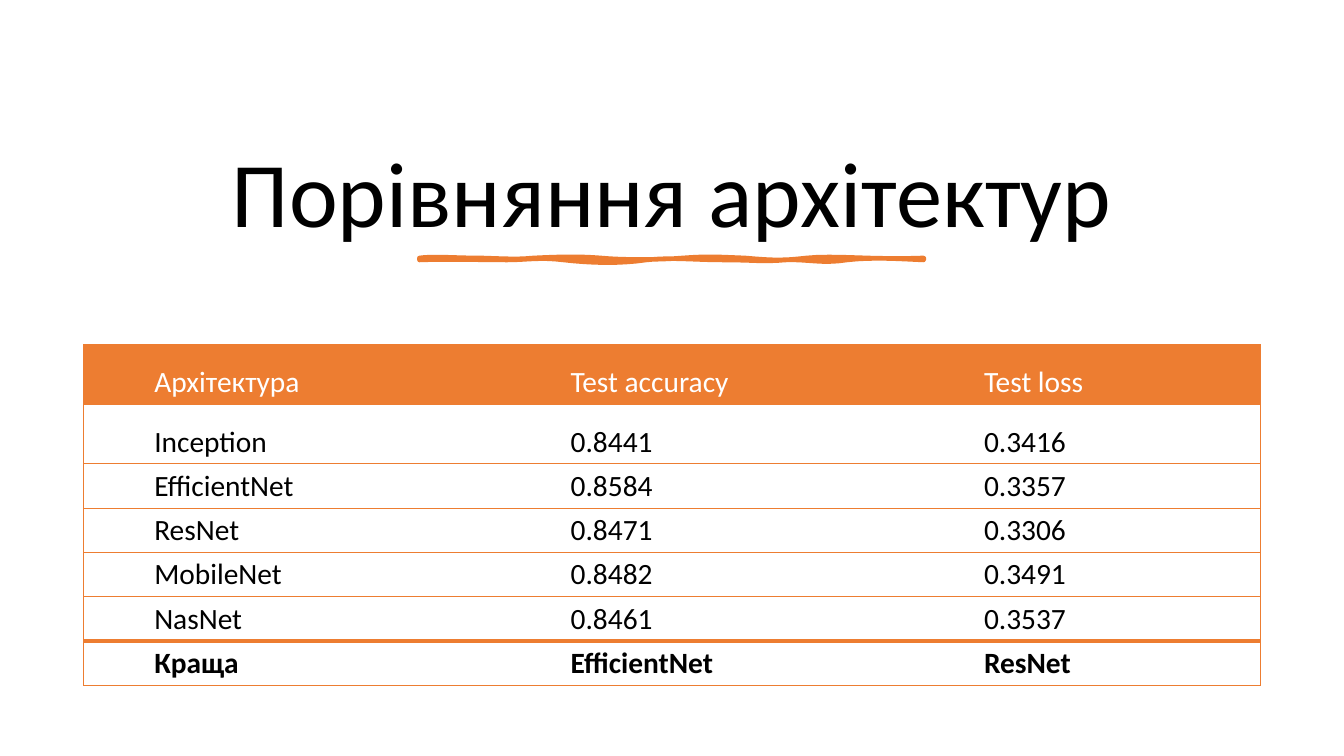
import pptx
import pptx.dml.color
import pptx.enum.text
import pptx.oxml.ns
import pptx.util
from lxml import etree

Inches = pptx.util.Inches
Pt = pptx.util.Pt
qn = pptx.oxml.ns.qn
ALIGN = pptx.enum.text.PP_ALIGN

ROWS = [
    ("Архітектура", "Test accuracy", "Test loss"),
    ("Inception", "0.8441", "0.3416"),
    ("EfficientNet", "0.8584", "0.3357"),
    ("ResNet", "0.8471", "0.3306"),
    ("MobileNet", "0.8482", "0.3491"),
    ("NasNet", "0.8461", "0.3537"),
    ("Краща", "EfficientNet", "ResNet"),
]
COLUMN_WIDTHS = [4.13, 4.1, 3.44]
TALL_ROWS = 2

UNDERLINE_START = (4.16, 2.56)
UNDERLINE_CURVES = [
    (4.28, 2.54, 4.54, 2.56, 4.73, 2.56),
    (4.92, 2.56, 5.09, 2.58, 5.29, 2.56),
    (5.49, 2.55, 5.74, 2.54, 5.96, 2.56),
    (6.17, 2.58, 6.53, 2.58, 6.77, 2.56),
    (7.02, 2.54, 7.14, 2.55, 7.39, 2.56),
    (7.63, 2.58, 7.74, 2.59, 8, 2.56),
    (8.26, 2.53, 8.67, 2.58, 9.16, 2.56),
    (9.17, 2.57, 9.16, 2.57, 9.16, 2.58),
    (8.95, 2.57, 8.65, 2.55, 8.4, 2.58),
    (8.15, 2.62, 8.01, 2.57, 7.79, 2.58),
    (7.56, 2.6, 7.47, 2.58, 7.17, 2.58),
    (6.87, 2.58, 6.67, 2.55, 6.41, 2.58),
    (6.14, 2.62, 5.85, 2.61, 5.59, 2.58),
    (5.34, 2.55, 5.23, 2.58, 5.03, 2.58),
    (4.83, 2.58, 4.38, 2.57, 4.16, 2.58),
]


def color(value):
    return pptx.dml.color.RGBColor.from_string(value)


def curve_points(start, curves, steps=8):
    points = []
    for x1, y1, x2, y2, x3, y3 in curves:
        controls = [start, (x1, y1), (x2, y2), (x3, y3)]
        for step in range(1, steps + 1):
            t = step / steps
            weights = [(1 - t) ** 3, 3 * t * (1 - t) ** 2, 3 * t * t * (1 - t), t ** 3]
            points.append(tuple(
                sum(weight * control[axis] for weight, control in zip(weights, controls))
                for axis in (0, 1)))
        start = (x3, y3)
    return points


class Slide:
    font = "Calibri"
    accent = "ED7D31"
    dark = "000000"
    light = "FFFFFF"

    def __init__(self, deck):
        self.page = deck.slides.add_slide(deck.slide_layouts[6])

    def style(self, para, size, text_color, align, spacing, bold=False):
        para.alignment = align
        para.line_spacing = spacing
        para.font.name = self.font
        para.font.size = Pt(size)
        para.font.bold = bold
        para.font.color.rgb = color(text_color)

    def title(self, text, left, top, width, height):
        box = self.page.shapes.add_textbox(
            Inches(left), Inches(top), Inches(width), Inches(height))
        frame = box.text_frame
        frame.word_wrap = True
        frame.vertical_anchor = pptx.enum.text.MSO_ANCHOR.BOTTOM
        frame.text = text
        self.style(frame.paragraphs[0], 66, self.dark, ALIGN.CENTER, 0.9)

    def brush_line(self, start, curves):
        builder = self.page.shapes.build_freeform(
            Inches(start[0]), Inches(start[1]), scale=1.0)
        builder.add_line_segments(
            [(Inches(x), Inches(y)) for x, y in curve_points(start, curves)], close=True)
        shape = builder.convert_to_shape()
        shape.shadow.inherit = False
        shape.fill.solid()
        shape.fill.fore_color.rgb = color(self.accent)
        shape.line.color.rgb = color(self.accent)
        shape.line.width = Pt(3.25)
        outline = shape.element.spPr.find(qn("a:ln"))
        etree.SubElement(outline, qn("a:round"))

    def border(self, cell, side, width):
        line = etree.SubElement(
            cell._tc.get_or_add_tcPr(), qn(f"a:ln{side}"), w=str(Pt(width)))
        if width:
            fill = etree.SubElement(line, qn("a:solidFill"))
            etree.SubElement(fill, qn("a:srgbClr"), val=self.accent)
        else:
            etree.SubElement(line, qn("a:noFill"))

    def cell(self, cell, text, header, tall, bold):
        cell.margin_left = cell.margin_right = Inches(0.11)
        cell.margin_top = Inches(0.02)
        cell.margin_bottom = 0
        cell.text = text
        para = cell.text_frame.paragraphs[0]
        para.space_after = Pt(8)
        para._p.get_or_add_pPr().set("indent", str(Inches(0.59)))
        self.style(para, 21, self.light if header else self.dark,
                   ALIGN.JUSTIFY, 1.5 if tall else 1.07, bold)
        if header:
            cell.fill.solid()
            cell.fill.fore_color.rgb = color(self.accent)
        else:
            cell.fill.background()

    def table(self, rows, widths, left, top):
        heights = [0.59 if index < TALL_ROWS else 0.44 for index in range(len(rows))]
        table = self.page.shapes.add_table(
            len(rows), len(widths), Inches(left), Inches(top),
            Inches(sum(widths)), Inches(sum(heights))).table
        table.first_row = False
        table.horz_banding = False
        for column, width in zip(table.columns, widths):
            column.width = Inches(width)
        last_row, last_column = len(rows) - 1, len(widths) - 1
        for r, (row, height) in enumerate(zip(rows, heights)):
            table.rows[r].height = Inches(height)
            for c, text in enumerate(row):
                cell = table.cell(r, c)
                self.border(cell, "L", 0.5 if c == 0 else 0)
                self.border(cell, "R", 0.5 if c == last_column else 0)
                self.border(cell, "T", 4 if r == last_row else 0.5)
                self.border(cell, "B", 4 if r == last_row - 1 else 0.5)
                self.cell(cell, text, r == 0, r < TALL_ROWS, r == last_row)


def main():
    deck = pptx.Presentation()
    deck.slide_width = Inches(13.33)
    deck.slide_height = Inches(7.5)
    slide = Slide(deck)
    slide.title("Порівняння архітектур", 0.7, 0.5, 11.93, 2)
    slide.brush_line(UNDERLINE_START, UNDERLINE_CURVES)
    slide.table(ROWS, COLUMN_WIDTHS, 0.83, 3.42)
    deck.save("out.pptx")


if __name__ == "__main__":
    main()
